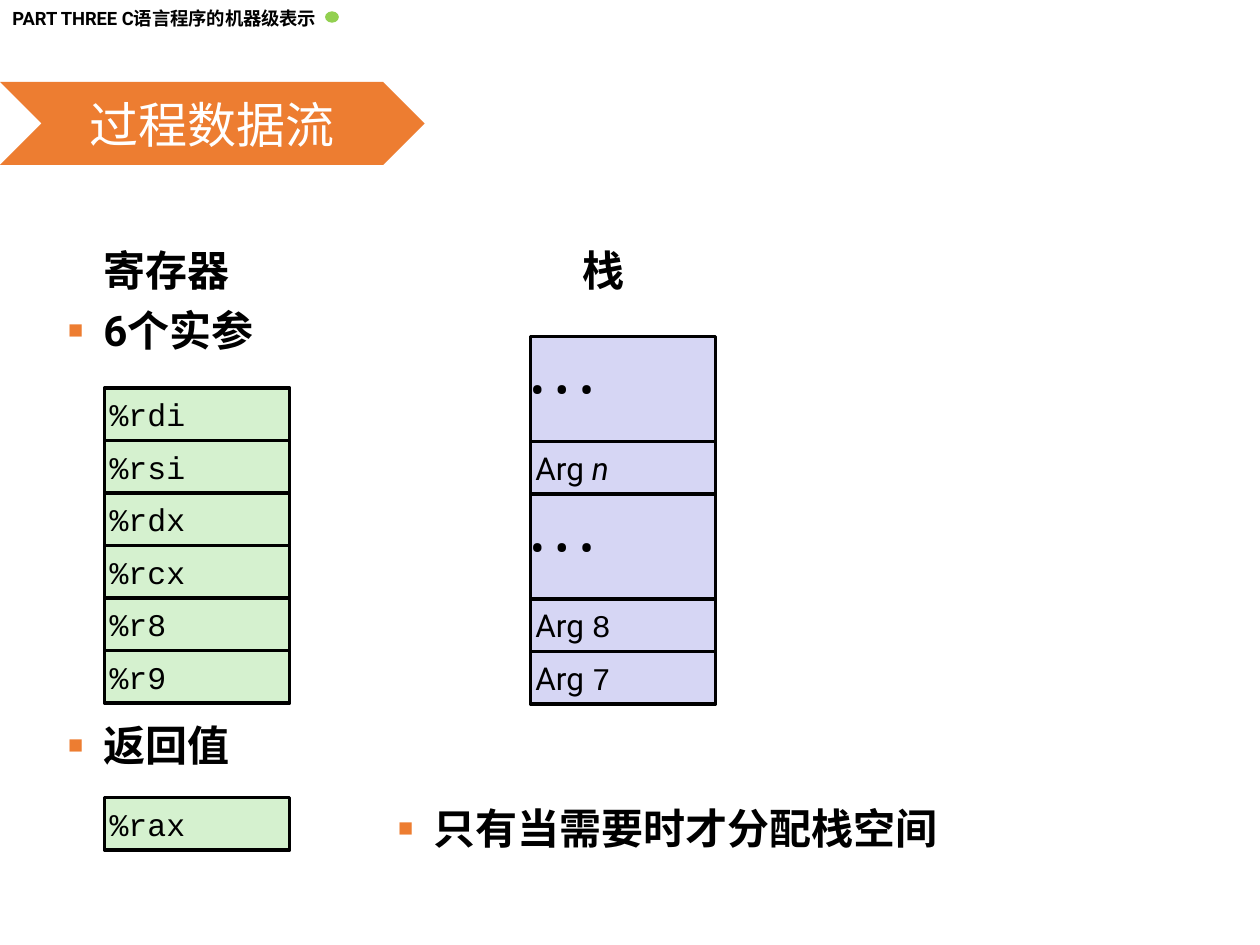
from lxml import etree
from pptx import Presentation, util as u
from pptx.dml.color import RGBColor
from pptx.enum import shapes, text
from pptx.oxml import ns

COLORS = {"ink": "000000", "paper": "FFFFFF", "accent": "ED7D31",
          "dot": "92D050", "register": "D5F1CF", "stack": "D6D6F4"}
SANS, MONO = "Roboto", "Courier New"
ROW = 5 / 12
CELL_WIDTH = 1.47


class SlideStyle:
    def __init__(self, slide):
        self.slide = slide

    def color(self, name):
        return RGBColor.from_string(COLORS[name])

    def place(self, item, left, top, width, height):
        item.left, item.top = u.Inches(left), u.Inches(top)
        item.width, item.height = u.Inches(width), u.Inches(height)

    def frame(self, item, anchor, inset):
        frame = item.text_frame
        frame.word_wrap = True
        frame.auto_size = text.MSO_AUTO_SIZE.NONE
        frame.vertical_anchor = anchor
        frame.margin_left = frame.margin_right = u.Inches(inset)
        frame.margin_top = frame.margin_bottom = u.Inches(inset)
        return frame

    def font(self, run, size, name=SANS, color="ink", bold=False, italic=False):
        run.font.size, run.font.name = u.Pt(size), name
        run.font.bold, run.font.italic = bold, italic
        run.font.color.rgb = self.color(color)

    def shape(self, kind, box, fill, parent=None):
        item = (parent or self.slide).shapes.add_shape(kind, *map(u.Inches, box))
        item.shadow.inherit = False
        item.fill.solid()
        item.fill.fore_color.rgb = self.color(fill)
        item.line.fill.background()
        return item

    def label(self, box, words, size):
        item = self.slide.shapes.add_textbox(*map(u.Inches, box))
        item.text_frame.text = words
        item.text_frame.word_wrap = False
        item.text_frame.auto_size = text.MSO_AUTO_SIZE.SHAPE_TO_FIT_TEXT
        self.font(item.text_frame.paragraphs[0].runs[0], size, bold=True)

    def title(self, box, words):
        title = self.slide.shapes.title
        banner = self.shape(shapes.MSO_SHAPE.CHEVRON, box, "accent")
        title.element.addprevious(banner.element)
        self.place(title, *box)
        frame = self.frame(title, text.MSO_ANCHOR.MIDDLE, 0.05)
        frame.text = words
        frame.paragraphs[0].alignment = text.PP_ALIGN.CENTER
        self.font(frame.paragraphs[0].runs[0], 28, color="paper")

    def heading(self, index, box, words):
        item = self.slide.placeholders[index]
        self.place(item, *box)
        frame = self.frame(item, text.MSO_ANCHOR.BOTTOM, 0.04)
        frame.text = words
        frame.paragraphs[0].space_before = u.Pt(0)
        self.font(frame.paragraphs[0].runs[0], 24, bold=True)

    def bullets(self, index, box, points, gap=0):
        item = self.slide.placeholders[index]
        self.place(item, *box)
        frame = self.frame(item, text.MSO_ANCHOR.TOP, 0.04)
        frame.text = "\n".join(points)
        for number, paragraph in enumerate(frame.paragraphs):
            self.bullet_mark(paragraph)
            paragraph.space_before = u.Pt(gap if number else 0)
            self.font(paragraph.runs[0], 24, bold=True)

    def bullet_mark(self, paragraph):
        properties = paragraph._p.get_or_add_pPr()
        properties.set("marL", str(u.Inches(0.28)))
        properties.set("indent", str(-u.Inches(0.28)))
        tint = etree.SubElement(properties, ns.qn("a:buClr"))
        etree.SubElement(tint, ns.qn("a:srgbClr"), val=COLORS["accent"])
        etree.SubElement(properties, ns.qn("a:buSzPct"), val="60000")
        etree.SubElement(properties, ns.qn("a:buChar"), char="■")

    def cell(self, left, top, rows, fill, parts, size=18, inset=0.04, parent=None):
        box = (left, top, CELL_WIDTH, rows * ROW)
        item = self.shape(shapes.MSO_SHAPE.RECTANGLE, box, fill, parent)
        item.line.color.rgb = self.color("ink")
        item.line.width = u.Pt(2)
        frame = self.frame(item, text.MSO_ANCHOR.MIDDLE, inset)
        paragraph = frame.paragraphs[0]
        paragraph.alignment = text.PP_ALIGN.LEFT
        for words, name, italic in parts:
            run = paragraph.add_run()
            run.text = words
            self.font(run, size, name, italic=italic)


def main():
    deck = Presentation()
    deck.slide_width, deck.slide_height = u.Inches(10), u.Inches(7.5)
    comparison = deck.slide_layouts.get_by_name("Comparison")
    page = SlideStyle(deck.slides.add_slide(comparison))

    page.label((0, 0.01, 2.69, 0.28), "PART THREE C语言程序的机器级表示", 10.5)
    page.shape(shapes.MSO_SHAPE.OVAL, (2.58, 0.09, 0.11, 0.09), "dot")
    page.title((0, 0.65, 3.37, 0.66), "过程数据流")

    page.heading(1, (0.78, 1.68, 4.42, 0.7), "寄存器")
    page.bullets(2, (0.5, 2.38, 4.42, 4.32), ["6个实参", "返回值"], gap=208)
    page.heading(3, (4.58, 1.68, 0.79, 0.7), "栈")
    page.bullets(4, (3.12, 6.33, 4.42, 0.37), ["只有当需要时才分配栈空间"])

    registers = ["%rdi", "%rsi", "%rdx", "%rcx", "%r8", "%r9"]
    register_tops = [3.08 + number * ROW for number in range(len(registers))]
    for register, top in zip(registers + ["%rax"], register_tops + [6.33]):
        page.cell(0.83, top, 1, "register", [(register, MONO, False)])

    stack = page.slide.shapes.add_group_shape()
    top = 2.67
    for argument in [None, "n", None, "8", "7"]:
        if argument:
            rows, size, inset = 1, 18, 0.04
            is_variable = argument.isalpha()
            parts = [("Arg ", SANS, False),
                     (argument, SANS if is_variable else MONO, is_variable)]
        else:
            rows, size, inset = 2, 24, 0
            parts = [("• • •", SANS, False)]
        page.cell(4.21, top, rows, "stack", parts, size, inset, stack)
        top += rows * ROW

    deck.save("out.pptx")


if __name__ == "__main__":
    main()
